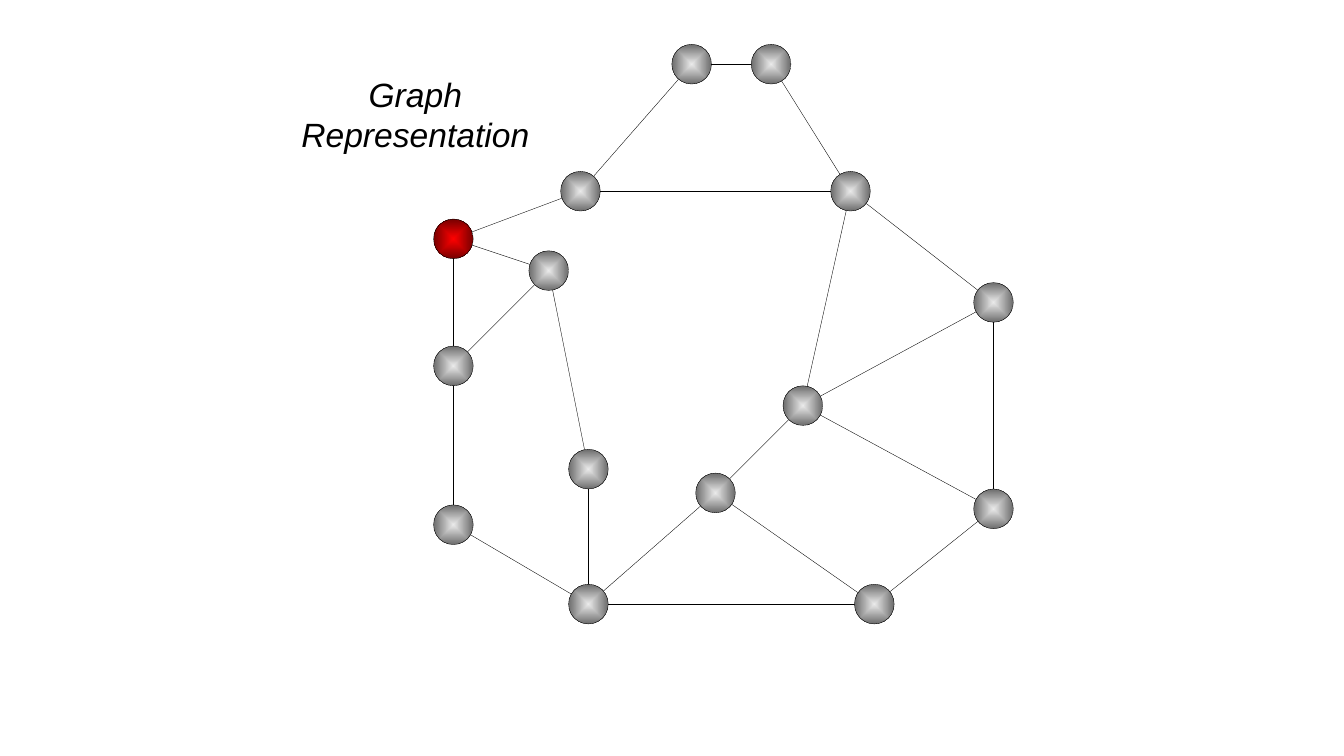
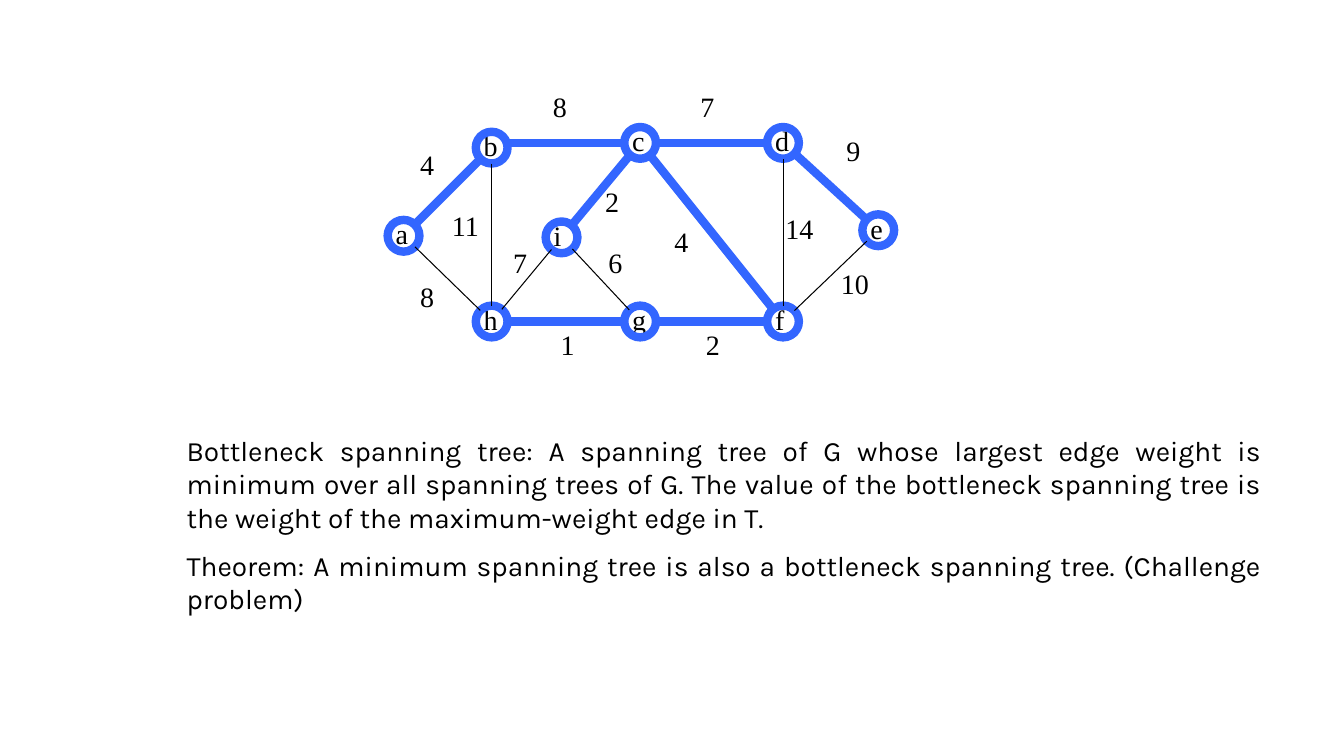
import math
from dataclasses import dataclass

import lxml.etree
import pptx
import pptx.dml.color
import pptx.enum.shapes
import pptx.enum.text
import pptx.oxml.ns
import pptx.util


@dataclass(frozen=True)
class Theme:
    """Colours, fonts, type sizes and line widths shared by the slides."""

    ink: str = "000000"
    tree: str = "3366FF"
    start_node: tuple = ("FF0000", "760000")
    plain_node: tuple = ("EAEAEA", "6C6C6C")
    title_font: str = "Arial"
    label_font: str = "Times New Roman"
    prose_font: str = "Karla"
    title_size: int = 24
    body_size: int = 20
    paragraph_gap: int = 10
    hairline: float = 0.25
    thin: float = 0.75
    thick: float = 6


THEME = Theme()
SLIDE_WIDTH = pptx.util.Inches(13.33)
SLIDE_HEIGHT = pptx.util.Inches(7.5)


@dataclass(frozen=True)
class Box:
    """A region in slide units, divided into columns and rows."""

    left: int
    top: int
    width: int
    height: int
    columns: int = 1
    rows: int = 1

    def point(self, column, row):
        """Return the slide position of a grid point."""
        return (int(self.left + column * self.width / self.columns),
                int(self.top + row * self.height / self.rows))

    def square(self, column, row, cells):
        """Return the box that spans a square of cells."""
        return Box(*self.point(column, row), int(cells * self.width / self.columns),
                   int(cells * self.height / self.rows))


@dataclass(frozen=True)
class WeightedEdge:
    """An edge between two named nodes and the grid place of its weight."""

    start: str
    end: str
    weight: int
    column: float
    row: float
    in_tree: bool = False


def slide_box(left, top, width, height, columns=1, rows=1):
    """Make a box from percentages of the slide's size."""
    return Box(int(SLIDE_WIDTH * left / 100), int(SLIDE_HEIGHT * top / 100),
               int(SLIDE_WIDTH * width / 100), int(SLIDE_HEIGHT * height / 100),
               columns, rows)


def rgb(value):
    """Turn a hex string into a colour."""
    return pptx.dml.color.RGBColor.from_string(value)


def add_text(slide, box, texts, font, size, align="LEFT", gap=0, italic=False):
    """Write one paragraph per text into a box without margins."""
    frame = slide.shapes.add_textbox(box.left, box.top, box.width, box.height).text_frame
    frame.word_wrap = True
    frame.margin_left = frame.margin_right = frame.margin_top = frame.margin_bottom = 0
    for index, text in enumerate(texts):
        paragraph = frame.add_paragraph() if index else frame.paragraphs[0]
        paragraph.alignment = getattr(pptx.enum.text.PP_ALIGN, align)
        if index and gap:
            paragraph.space_before = pptx.util.Pt(gap)
        run = paragraph.add_run()
        run.text = text
        run.font.name = font
        run.font.size = pptx.util.Pt(size)
        run.font.italic = italic
        run.font.color.rgb = rgb(THEME.ink)


def add_label(slide, box, text, column, row):
    """Write a short graph label that starts at a grid point."""
    add_text(slide, box.square(column, row, 4), [text], THEME.label_font, THEME.body_size)


def add_edge(slide, box, ends, color, width):
    """Draw a straight edge between two grid points."""
    start, end = ends
    connector = slide.shapes.add_connector(
        pptx.enum.shapes.MSO_CONNECTOR.STRAIGHT, *box.point(*start), *box.point(*end))
    connector.line.color.rgb = rgb(color)
    connector.line.width = pptx.util.Pt(width)
    lxml.etree.SubElement(connector._element.spPr, pptx.oxml.ns.qn("a:effectLst"))


def add_circle(slide, box, color, width):
    """Draw an outlined circle without a fill."""
    shape = slide.shapes.add_shape(pptx.enum.shapes.MSO_SHAPE.OVAL,
                                   box.left, box.top, box.width, box.height)
    shape.shadow.inherit = False
    shape.fill.background()
    shape.line.color.rgb = rgb(color)
    shape.line.width = pptx.util.Pt(width)
    return shape


def shade_from_centre(shape, colors):
    """Fill a shape with a gradient running outwards from its centre."""
    shape.fill.gradient()
    for stop, color in zip(shape.fill.gradient_stops, colors):
        stop.color.rgb = rgb(color)
    qn = pptx.oxml.ns.qn
    gradient = shape._element.spPr.find(qn("a:gradFill"))
    gradient.remove(gradient.find(qn("a:lin")))
    focus = lxml.etree.SubElement(gradient, qn("a:path"), {"path": "shape"})
    lxml.etree.SubElement(focus, qn("a:fillToRect"),
                          {side: "50000" for side in ("l", "t", "r", "b")})


def centre_of(node, diameter):
    """Return the centre of a node given by its top left grid point."""
    column, row = node
    return column + diameter / 2, row + diameter / 2


def rim_to_rim(start, end, diameter):
    """Join two nodes from rim to rim, keeping an almost level edge level."""
    (x1, y1), (x2, y2) = centre_of(start, diameter), centre_of(end, diameter)
    if abs(y2 - y1) < 1:
        y1 = y2
    share = diameter / 2 / math.hypot(x2 - x1, y2 - y1)
    step_x, step_y = share * (x2 - x1), share * (y2 - y1)
    return (x1 + step_x, y1 + step_y), (x2 - step_x, y2 - step_y)


def add_sphere_graph(slide, box):
    """Draw the unlabelled graph with its highlighted start node."""
    diameter = 5
    nodes = {
        "start": (0, 22), "left": (0, 38), "lower left": (0, 58),
        "inner upper": (12, 26), "inner lower": (17, 51), "bottom left": (17, 68),
        "shoulder left": (16, 16), "top left": (30, 0), "top right": (40, 0),
        "shoulder right": (50, 16), "right": (68, 30), "lower right": (68, 56),
        "bottom right": (53, 68), "hub": (44, 43), "middle": (33, 54),
    }
    neighbours = {
        "start": ["left", "inner upper", "shoulder left"],
        "left": ["inner upper", "lower left"],
        "bottom left": ["lower left", "inner lower", "middle", "bottom right"],
        "inner upper": ["inner lower"],
        "shoulder left": ["top left", "shoulder right"],
        "top right": ["top left", "shoulder right"],
        "hub": ["shoulder right", "right", "lower right", "middle"],
        "right": ["shoulder right", "lower right"],
        "bottom right": ["middle", "lower right"],
    }
    for name, others in neighbours.items():
        for other in others:
            ends = [centre_of(nodes[end], diameter) for end in (name, other)]
            add_edge(slide, box, ends, THEME.ink, THEME.hairline)
    for name, node in nodes.items():
        sphere = add_circle(slide, box.square(*node, diameter), THEME.ink, THEME.hairline)
        shade_from_centre(sphere, THEME.start_node if name == "start" else THEME.plain_node)


def add_weighted_graph(slide, box):
    """Draw the weighted graph with its spanning tree in bold."""
    diameter = 4
    left, centre, right = 11.3, 30, 48
    top, bottom = 6.1, 28.6
    nodes = {
        "a": (0.2, 17.8), "b": (left, 6.7), "c": (centre, top), "d": (right, top),
        "e": (60, 17.1), "f": (right, bottom), "g": (centre, bottom),
        "h": (left, bottom), "i": (20.1, 18),
    }
    above, below = 1.4, 31.4
    edges = [
        WeightedEdge("a", "b", 4, 4.3, 8.7, in_tree=True),
        WeightedEdge("b", "c", 8, 21, above, in_tree=True),
        WeightedEdge("c", "d", 7, 39.6, above, in_tree=True),
        WeightedEdge("d", "e", 9, 58, 6.9, in_tree=True),
        WeightedEdge("c", "f", 4, 36.3, 18.4, in_tree=True),
        WeightedEdge("c", "i", 2, 27.6, 13.3, in_tree=True),
        WeightedEdge("h", "g", 1, 22, below, in_tree=True),
        WeightedEdge("g", "f", 2, 40.3, below, in_tree=True),
        WeightedEdge("a", "h", 8, 4.3, 25.3),
        WeightedEdge("b", "h", 11, 8.3, 16.3),
        WeightedEdge("h", "i", 7, 16, 21),
        WeightedEdge("i", "g", 6, 28, 21),
        WeightedEdge("d", "f", 14, 50.3, 16.8),
        WeightedEdge("e", "f", 10, 57.3, 23.7),
    ]
    for name, (column, row) in nodes.items():
        add_label(slide, box, name, column + 1, row - 0.4)
        add_circle(slide, box.square(column, row, diameter), THEME.tree, THEME.thick)
    for edge in edges:
        color, width = ((THEME.tree, THEME.thick) if edge.in_tree
                        else (THEME.ink, THEME.thin))
        ends = rim_to_rim(nodes[edge.start], nodes[edge.end], diameter)
        add_edge(slide, box, ends, color, width)
    for edge in edges:
        add_label(slide, box, str(edge.weight), edge.column, edge.row)


def build_representation_slide(slide):
    """Build the slide that shows a graph of plain nodes."""
    add_sphere_graph(slide, slide_box(32.26, 5.87, 43.14, 76.67, 73, 73))
    add_text(slide, slide_box(21.6, 9.73, 18.6, 11), ["Graph", "Representation"],
             THEME.title_font, THEME.title_size, align="CENTER", italic=True)


def build_bottleneck_slide(slide):
    """Build the slide on bottleneck spanning trees."""
    add_weighted_graph(slide, slide_box(28.73, 10.4, 37.8, 37.8, 64, 36))
    add_text(slide, slide_box(13.88, 57.33, 80, 24.67), [
        "Bottleneck spanning tree: A spanning tree of G whose largest edge weight is "
        "minimum over all spanning trees of G. The value of the bottleneck spanning "
        "tree is the weight of the maximum-weight edge in T.",
        "Theorem: A minimum spanning tree is also a bottleneck spanning tree. "
        "(Challenge problem)",
    ], THEME.prose_font, THEME.body_size, align="JUSTIFY", gap=THEME.paragraph_gap)


def main():
    """Build and save the presentation."""
    presentation = pptx.Presentation()
    presentation.slide_width = SLIDE_WIDTH
    presentation.slide_height = SLIDE_HEIGHT
    for build in (build_representation_slide, build_bottleneck_slide):
        build(presentation.slides.add_slide(presentation.slide_layouts[6]))
    presentation.save("out.pptx")


if __name__ == "__main__":
    main()
